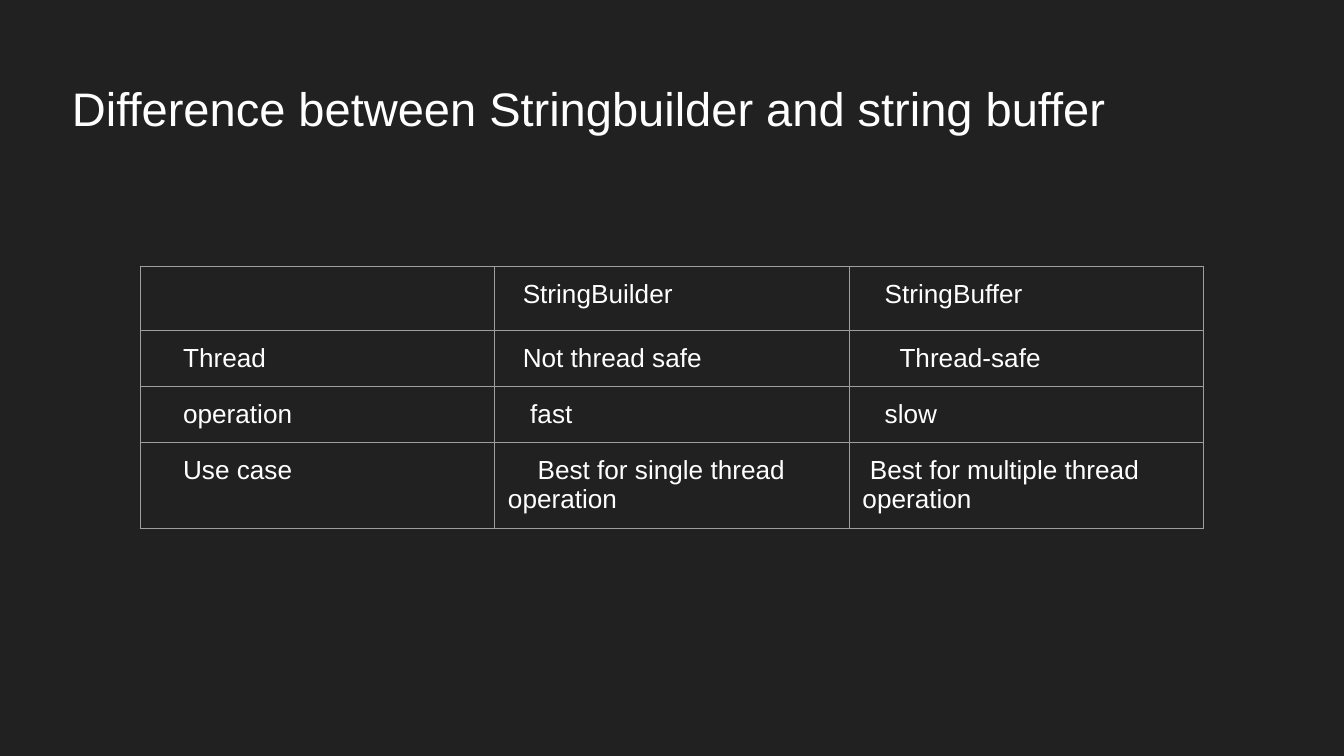
from lxml import etree
from pptx import Presentation
from pptx.dml.color import RGBColor
from pptx.enum.text import MSO_ANCHOR, PP_ALIGN
from pptx.oxml.ns import qn
from pptx.util import Cm, Pt

LEFT = PP_ALIGN.LEFT
MIDDLE = MSO_ANCHOR.MIDDLE
TITLE_ONLY = 5

BACKGROUND = RGBColor(0x21, 0x21, 0x21)
WHITE = RGBColor(0xFF, 0xFF, 0xFF)
GRID_GREY = RGBColor(0x9E, 0x9E, 0x9E)

FONT = "Arial"
PADDING = Cm(0.25)
INDENT_STEP = Cm(0.14)
COLUMN_WIDTH = Cm(6.7)
ROW_HEIGHTS = [Cm(1.21), Cm(1.06), Cm(1.06), Cm(1.63)]

# Each cell holds its text and its first-line indent in steps.
COMPARISON = [
    [("", 0), ("StringBuilder", 2), ("StringBuffer", 3)],
    [("Thread", 4), ("Not thread safe", 2), ("Thread-safe", 5)],
    [("operation", 4), ("fast", 3), ("slow", 3)],
    [("Use case", 4), ("Best for single thread operation", 4),
     ("Best for multiple thread operation", 1)],
]


def write_text(frame, text, size, color=WHITE, indent=0):
    para = frame.paragraphs[0]
    para.alignment = LEFT
    if indent:
        para._p.get_or_add_pPr().set("indent", str(indent))
    span = para.add_run()
    span.text = text
    span.font.name = FONT
    span.font.size = Pt(size)
    span.font.color.rgb = color


def add_borders(cell, color=GRID_GREY, width=Pt(0.75)):
    properties = cell._tc.get_or_add_tcPr()
    for side in ("lnL", "lnR", "lnT", "lnB"):
        line = etree.SubElement(properties, qn(f"a:{side}"), w=str(width))
        fill = etree.SubElement(line, qn("a:solidFill"))
        etree.SubElement(fill, qn("a:srgbClr"), val=str(color))


def format_cell(cell, text, indent):
    add_borders(cell)
    cell.fill.background()
    if text:
        cell.margin_left = cell.margin_right = PADDING
        cell.margin_top = cell.margin_bottom = PADDING
        write_text(cell.text_frame, text, 14, indent=indent)


def add_title(page, text):
    title = page.shapes.title
    title.left, title.top = Cm(0.86), Cm(1.24)
    title.width, title.height = Cm(23.67), Cm(1.6)
    frame = title.text_frame
    frame.margin_left = Cm(0.5)
    frame.margin_right = frame.margin_top = frame.margin_bottom = PADDING
    frame.vertical_anchor = MIDDLE
    frame.word_wrap = True
    write_text(frame, text, 25.2)


def add_comparison_table(page, rows):
    column_count = len(rows[0])
    table = page.shapes.add_table(
        len(rows), column_count, Cm(2.65), Cm(5.03),
        COLUMN_WIDTH * column_count, sum(ROW_HEIGHTS)).table
    table.first_row = False
    table.horz_banding = False
    for column in table.columns:
        column.width = COLUMN_WIDTH
    for row, height, contents in zip(table.rows, ROW_HEIGHTS, rows):
        row.height = height
        for cell, (text, steps) in zip(row.cells, contents):
            format_cell(cell, text, INDENT_STEP * steps)


def main():
    deck = Presentation()
    deck.slide_width, deck.slide_height = Cm(25.4), Cm(14.29)
    page = deck.slides.add_slide(deck.slide_layouts[TITLE_ONLY])
    page.background.fill.solid()
    page.background.fill.fore_color.rgb = BACKGROUND
    add_title(page, "Difference between Stringbuilder and string buffer")
    add_comparison_table(page, COMPARISON)
    deck.save("out.pptx")


if __name__ == "__main__":
    main()
